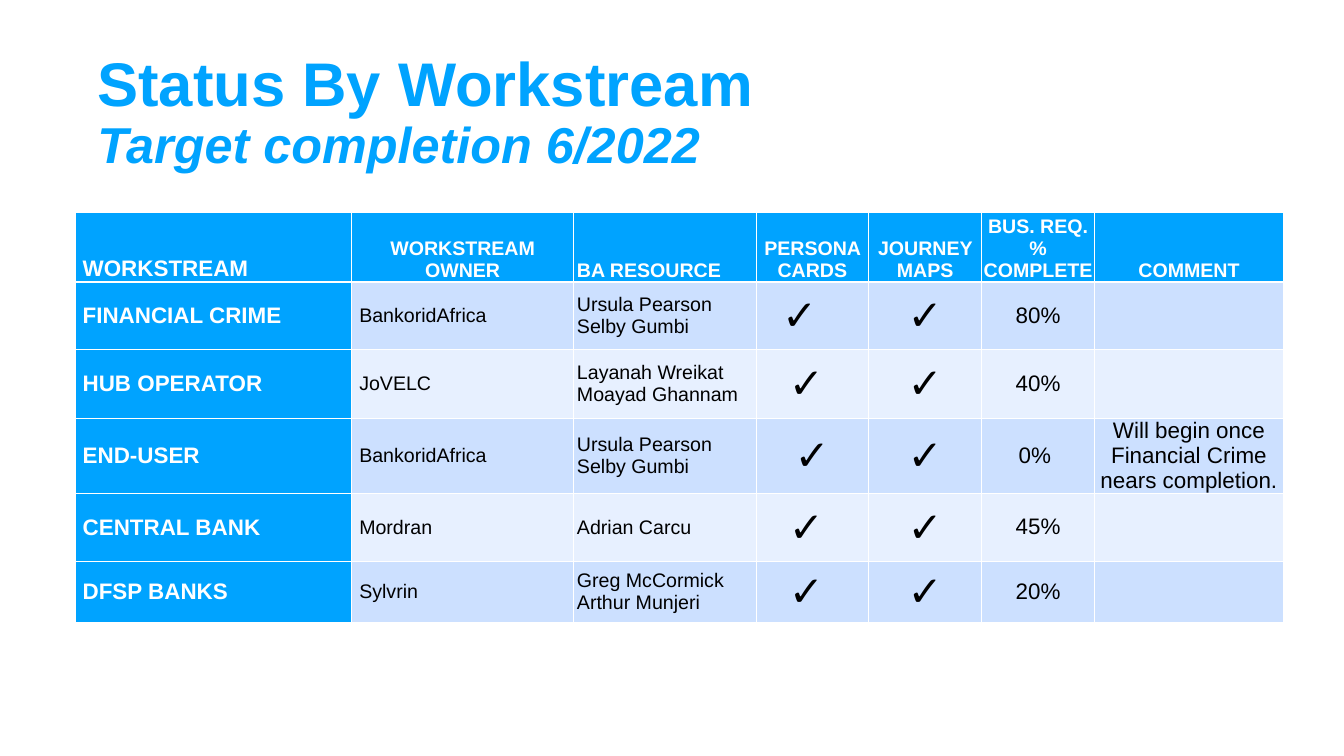
from lxml.etree import SubElement
from pptx import Presentation
from pptx.dml.color import RGBColor
from pptx.enum.text import MSO_ANCHOR as Anchor, MSO_AUTO_SIZE as AutoSize, PP_ALIGN as Align
from pptx.oxml.ns import qn
from pptx.util import Inches, Pt

COLORS = {"blue": "00A3FF", "white": "FFFFFF", "black": "000000",
          "band": "CCE0FF", "pale": "E7F0FF"}
COLUMN_WIDTHS = [5.49, 4.4, 3.62, 2.24, 2.24, 2.24, 3.75]
ROW_HEIGHTS = [1.38, 1.35, 1.35, 1.27, 1.35, 1.21]
SIDE_MARGINS = [0.15, 0.15, 0.07, 0.15, 0.15, 0, 0]
BODY_SIZES = [32, 28, 28, 60, 60, 32, 32]
LEFT_COLUMNS = {"header": (0, 2), "body": (0, 1, 2)}

HEADERS = ["WORKSTREAM", "WORKSTREAM OWNER", "BA RESOURCE", "PERSONA CARDS",
           "JOURNEY MAPS", "BUS. REQ. % COMPLETE", "COMMENT"]
WORKSTREAMS = [
    ["FINANCIAL CRIME", "BankoridAfrica", "Ursula Pearson\nSelby Gumbi", "✓", "✓", "80%", ""],
    ["HUB OPERATOR", "JoVELC", "Layanah Wreikat Moayad Ghannam", "✓ ", "✓", "40%", ""],
    ["END-USER", "BankoridAfrica", "Ursula Pearson\nSelby Gumbi", "✓", "✓", "0% ",
     "Will begin once Financial Crime nears completion."],
    ["CENTRAL BANK", "Mordran", "Adrian Carcu", "✓ ", "✓", "45%", ""],
    ["DFSP BANKS", "Sylvrin", "Greg McCormick\nArthur Munjeri", "✓ ", "✓", "20%", ""],
]


def color(name):
    return RGBColor.from_string(COLORS[name])


def style_font(font, size, color_name, bold):
    font.name = "Arial"
    font.size = Pt(size)
    font.bold = bold
    font.color.rgb = color(color_name)


def add_title(page):
    title = page.shapes.title
    title.left, title.top = Inches(1.83), Inches(0.8)
    title.width, title.height = Inches(20.68), Inches(2.9)
    frame = title.text_frame
    frame.text = "Status By Workstream\vTarget completion 6/2022"
    frame.word_wrap = True
    frame.auto_size = AutoSize.NONE
    frame.vertical_anchor = Anchor.MIDDLE
    para = frame.paragraphs[0]
    para.alignment = Align.LEFT
    para.line_spacing = 0.9
    for span, size, italic in zip(para.runs, (88, 72), (False, True)):
        style_font(span.font, size, "blue", True)
        span.font.italic = italic


def set_borders(cell, bottom):
    properties = cell._tc.get_or_add_tcPr()
    for side, width in (("L", 1), ("R", 1), ("T", 1), ("B", bottom)):
        line = SubElement(properties, qn(f"a:ln{side}"), w=str(Pt(width)))
        fill = SubElement(line, qn("a:solidFill"))
        SubElement(fill, qn("a:srgbClr"), val=COLORS["white"])


def fill_cell(cell, text, row, column):
    header = row == 0
    strong = header or column == 0
    band = "band" if row % 2 else "pale"
    set_borders(cell, 3 if header else 1)
    cell.fill.solid()
    cell.fill.fore_color.rgb = color("blue" if strong else band)
    cell.vertical_anchor = Anchor.BOTTOM if header else Anchor.MIDDLE
    cell.margin_left = cell.margin_right = Inches(SIDE_MARGINS[column])
    cell.margin_top = Inches(0.01 if SIDE_MARGINS[column] == 0.15 else 0)
    cell.margin_bottom = 0
    cell.text_frame.text = text
    header_size = 32 if column == 0 else 28
    size = header_size if header else BODY_SIZES[column]
    left = column in LEFT_COLUMNS["header" if header else "body"]
    for para in cell.text_frame.paragraphs:
        para.alignment = Align.LEFT if left else Align.CENTER
        for span in para.runs:
            style_font(span.font, size, "white" if strong else "black", strong)


def add_status_table(page):
    rows = [HEADERS, *WORKSTREAMS]
    table = page.shapes.add_table(
        len(rows), len(HEADERS), Inches(1.49), Inches(4.21),
        Inches(sum(COLUMN_WIDTHS)), Inches(sum(ROW_HEIGHTS))).table
    for column, width in zip(table.columns, COLUMN_WIDTHS):
        column.width = Inches(width)
    for row, height in zip(table.rows, ROW_HEIGHTS):
        row.height = Inches(height)
    for row, texts in enumerate(rows):
        for column, text in enumerate(texts):
            fill_cell(table.cell(row, column), text, row, column)
    table.cell(1, 3).margin_right = Inches(0.65)


def main():
    deck = Presentation()
    deck.slide_width, deck.slide_height = Inches(26.67), Inches(15)
    page = deck.slides.add_slide(deck.slide_layouts[5])
    add_title(page)
    add_status_table(page)
    deck.save("out.pptx")


if __name__ == "__main__":
    main()
